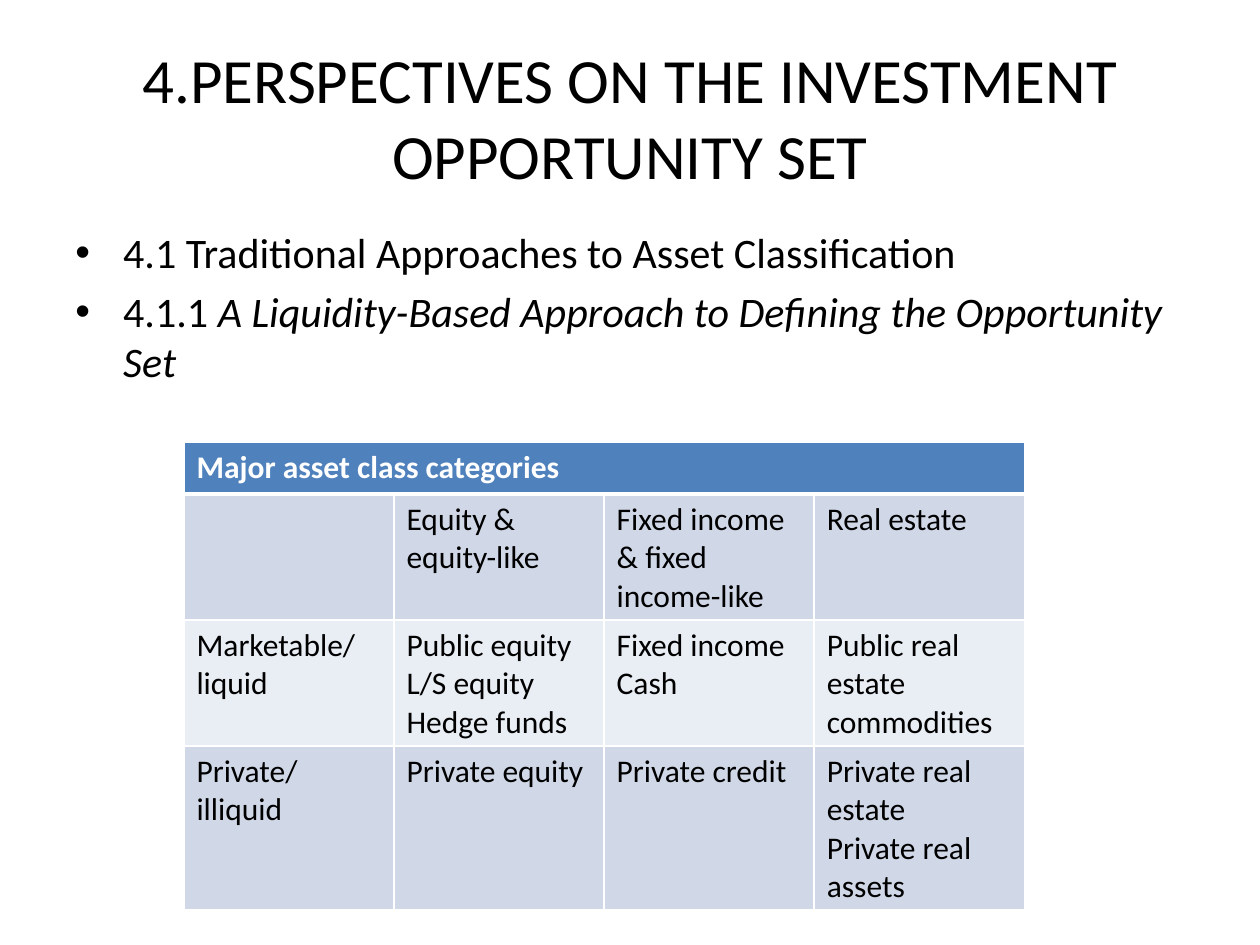
from lxml import etree
from pptx import Presentation
from pptx import util as u
from pptx.dml.color import RGBColor
from pptx.enum import text
from pptx.oxml.ns import qn

FONT = "Calibri"
BLACK = RGBColor(0x00, 0x00, 0x00)
WHITE = RGBColor(0xFF, 0xFF, 0xFF)
HEADER_BLUE = RGBColor(0x4F, 0x81, 0xBD)
BAND_DARK = RGBColor(0xD0, 0xD8, 0xE8)
BAND_LIGHT = RGBColor(0xE9, 0xED, 0xF4)

TITLE = "4.PERSPECTIVES ON THE INVESTMENT OPPORTUNITY SET"
BULLETS = [
    [("4.1 Traditional Approaches to Asset Classification", False)],
    [("4.1.1 ", False),
     ("A Liquidity-Based Approach to Defining the Opportunity Set", True)],
]
ASSET_CLASSES = [
    [["Major asset class categories"], [], [], []],
    [[], ["Equity & equity-like"], ["Fixed income & fixed income-like"], ["Real estate"]],
    [["Marketable/", "liquid"], ["Public equity", "L/S equity", "Hedge funds"],
     ["Fixed income", "Cash"], ["Public real estate", "commodities"]],
    [["Private/", "illiquid"], ["Private equity"], ["Private credit"],
     ["Private real estate", "Private real assets"]],
]


def add_run(p, content, size, color=BLACK, bold=False, italic=False):
    """Add one formatted run to a paragraph."""
    r = p.add_run()
    r.text = content
    r.font.name = FONT
    r.font.size = u.Pt(size)
    r.font.bold = bold
    r.font.italic = italic
    r.font.color.rgb = color


def paragraphs(tf, count):
    """Return the given number of paragraphs of a fresh text frame."""
    return [tf.paragraphs[0]] + [tf.add_paragraph() for _ in range(count - 1)]


def set_title(s):
    """Place and fill the title placeholder."""
    sp = s.shapes.title
    sp.left, sp.top = u.Inches(0.5), u.Inches(0.3)
    sp.width, sp.height = u.Inches(9), u.Inches(1.25)
    tf = sp.text_frame
    tf.vertical_anchor = text.MSO_ANCHOR.MIDDLE
    p = tf.paragraphs[0]
    p.alignment = text.PP_ALIGN.CENTER
    add_run(p, TITLE, 36)


def set_bullet(p):
    """Give a paragraph a hanging round bullet."""
    pPr = p._p.get_or_add_pPr()
    pPr.set("marL", str(u.Inches(0.38)))
    pPr.set("indent", str(-u.Inches(0.38)))
    etree.SubElement(pPr, qn("a:buFont"), typeface="Arial")
    etree.SubElement(pPr, qn("a:buChar"), char="•")


def add_bullets(s):
    """Add the bulleted section headings."""
    sp = s.shapes.add_textbox(u.Inches(0.5), u.Inches(1.75), u.Inches(9), u.Inches(4.95))
    tf = sp.text_frame
    tf.word_wrap = True
    for i, (p, runs) in enumerate(zip(paragraphs(tf, len(BULLETS)), BULLETS)):
        set_bullet(p)
        if i:
            p.space_before = u.Pt(4.8)
        for content, italic in runs:
            add_run(p, content, 24, italic=italic)


def set_borders(cell, bottom):
    """Draw white cell borders with the given bottom width."""
    tcPr = cell._tc.get_or_add_tcPr()
    for side, width in (("L", 1), ("R", 1), ("T", 1), ("B", bottom)):
        ln = etree.SubElement(tcPr, qn(f"a:ln{side}"), w=str(u.Pt(width)))
        fill = etree.SubElement(ln, qn("a:solidFill"))
        etree.SubElement(fill, qn("a:srgbClr"), val=str(WHITE))


def fill_cell(cell, lines, row):
    """Write and style one cell according to its row."""
    header = row == 0
    set_borders(cell, 3 if header else 1)
    cell.fill.solid()
    cell.fill.fore_color.rgb = HEADER_BLUE if header else BAND_DARK if row % 2 else BAND_LIGHT
    for p, line in zip(paragraphs(cell.text_frame, len(lines)), lines):
        add_run(p, line, 18, WHITE if header else BLACK, bold=header)


def add_asset_table(s):
    """Add the table of asset classes by liquidity."""
    rows, cols = len(ASSET_CLASSES), len(ASSET_CLASSES[0])
    sp = s.shapes.add_table(rows, cols, u.Inches(1.46), u.Inches(3.51),
                            u.Inches(6.67), u.Inches(0.41 * rows))
    sp.height = u.Inches(3.71)
    table = sp.table
    table.cell(0, 0).merge(table.cell(0, cols - 1))
    for i, row in enumerate(ASSET_CLASSES):
        for j, lines in enumerate(row):
            fill_cell(table.cell(i, j), lines, i)


def main():
    """Build and save the slide."""
    prs = Presentation()
    prs.slide_width, prs.slide_height = u.Inches(10), u.Inches(7.5)
    s = prs.slides.add_slide(prs.slide_layouts[5])
    set_title(s)
    add_bullets(s)
    add_asset_table(s)
    prs.save("out.pptx")


if __name__ == "__main__":
    main()
